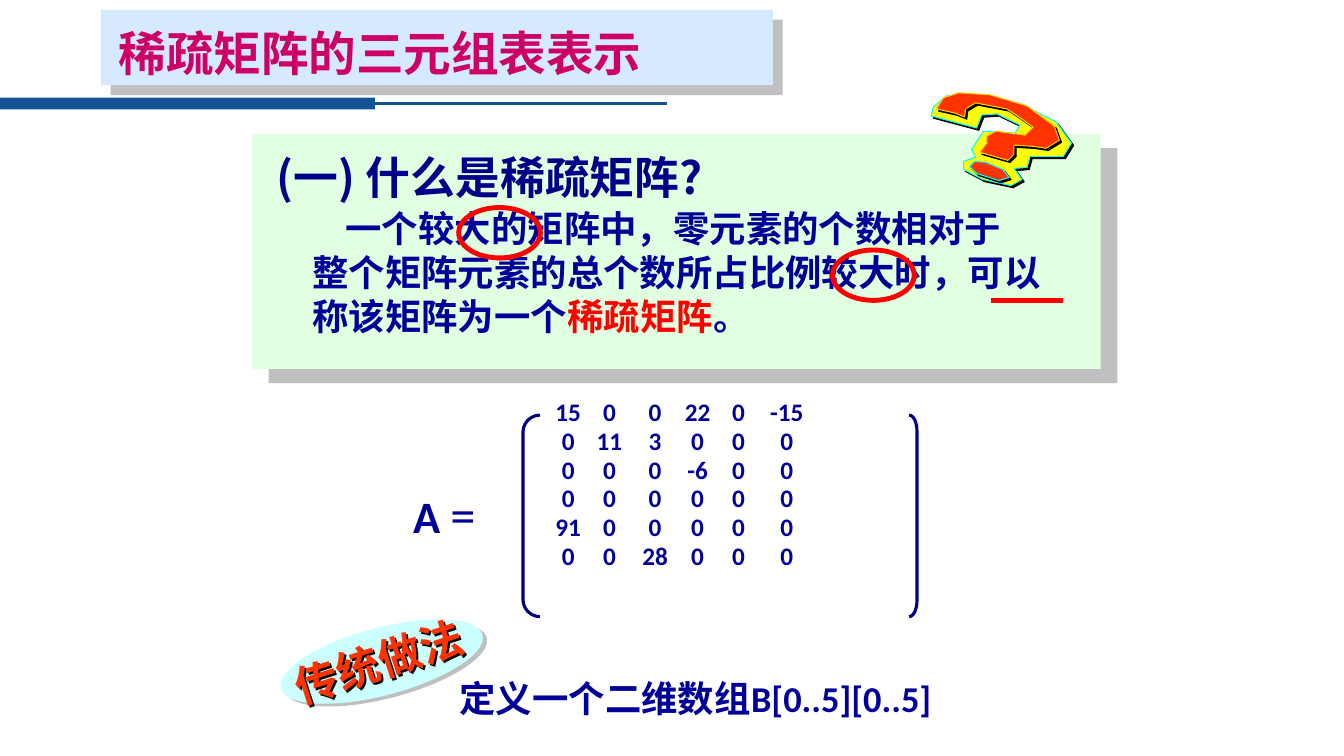
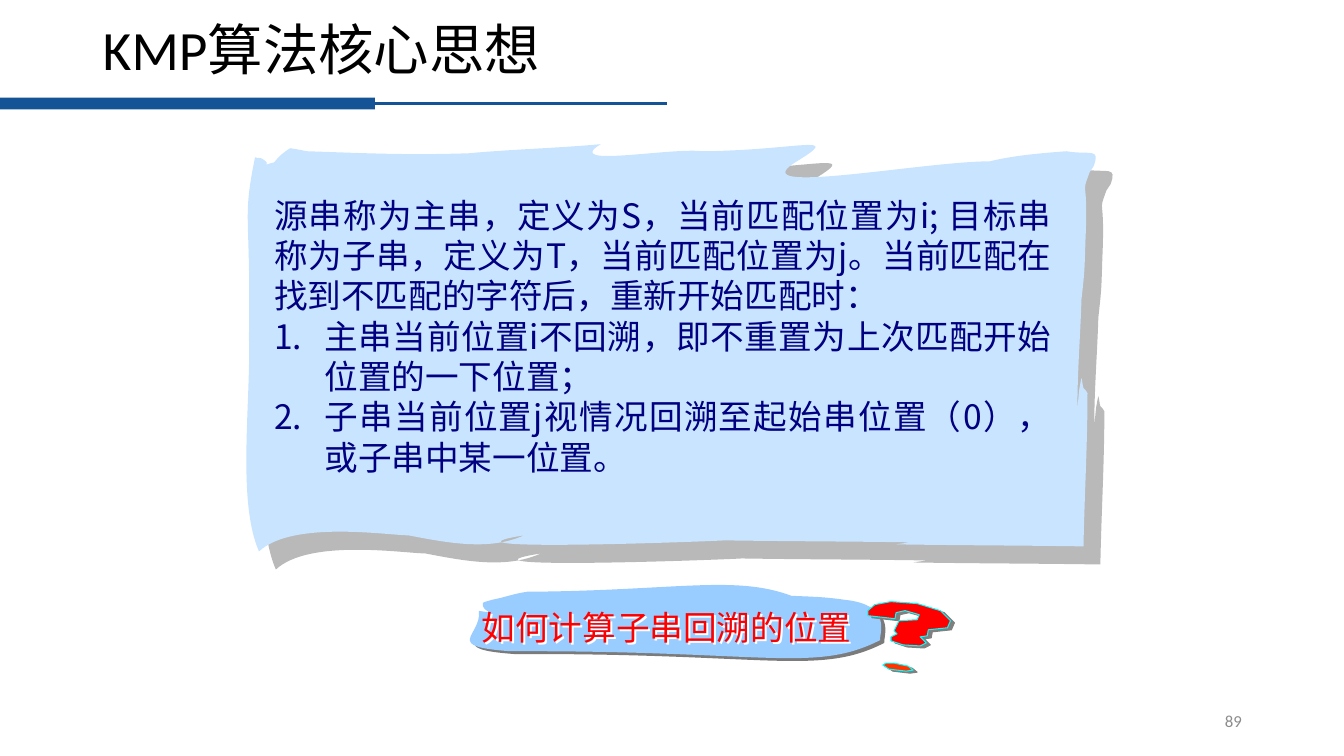
from lxml import etree
from pptx import Presentation
from pptx.dml.color import RGBColor
from pptx.enum.shapes import MSO_CONNECTOR, MSO_SHAPE
from pptx.enum.text import MSO_ANCHOR, PP_ALIGN
from pptx.oxml.ns import qn
from pptx.util import Cm, Pt

RECT, OVAL = MSO_SHAPE.RECTANGLE, MSO_SHAPE.OVAL
LEFT_BRACKET, RIGHT_BRACKET = MSO_SHAPE.LEFT_BRACKET, MSO_SHAPE.RIGHT_BRACKET
STRAIGHT = MSO_CONNECTOR.STRAIGHT
MIDDLE = MSO_ANCHOR.MIDDLE
JUSTIFY, RIGHT = PP_ALIGN.JUSTIFY, PP_ALIGN.RIGHT

LATIN, CJK = "Calibri", "Noto Sans CJK SC"
BAND = RGBColor(0x14, 0x53, 0x96)
NAVY = RGBColor(0x00, 0x00, 0x80)
HEADING = RGBColor(0x00, 0x00, 0x88)
INK = RGBColor(0x00, 0x00, 0x99)
RED = RGBColor(0xFF, 0x00, 0x00)
ORANGE = RGBColor(0xFF, 0x33, 0x00)
YELLOW = RGBColor(0xFF, 0xFF, 0x00)
GOLD = RGBColor(0xFF, 0xCC, 0x00)
CYAN = RGBColor(0x00, 0xFF, 0xFF)
PALE_CYAN = RGBColor(0xCC, 0xFF, 0xFF)
MAGENTA = RGBColor(0xCC, 0x00, 0x66)
PALE_BLUE = RGBColor(0xD5, 0xEA, 0xFF)
PAPER_BLUE = RGBColor(0xC9, 0xE4, 0xFF)
SKY = RGBColor(0x99, 0xCC, 0xFF)
MINT = RGBColor(0xE1, 0xFF, 0xE1)
BLACK = RGBColor(0x00, 0x00, 0x00)
WHITE = RGBColor(0xFF, 0xFF, 0xFF)
SILVER = RGBColor(0xC0, 0xC0, 0xC0)
PAPER_GRAY = RGBColor(0xB9, 0xB9, 0xB9)
STROKE_GRAY = RGBColor(0x7B, 0x7B, 0x7B)
MID_GRAY = RGBColor(0x80, 0x80, 0x80)
NUMBER_GRAY = RGBColor(0x8C, 0x8C, 0x8C)

LEADING = 1.2
OUTLINE_UNIT = Cm(0.0254)

MATRIX = [
    [15, 0, 0, 22, 0, -15],
    [0, 11, 3, 0, 0, 0],
    [0, 0, 0, -6, 0, 0],
    [0, 0, 0, 0, 0, 0],
    [91, 0, 0, 0, 0, 0],
    [0, 0, 28, 0, 0, 0],
]
MATRIX_STOPS = (0.46, 1.5, 2.65, 3.72, 4.75, 5.97)

BIG_MARK_BACK = [
    (974, 114), (989, 113), (1012, 124), (1007, 132), (976, 130), (964, 148),
    (968, 156), (956, 160), (956, 168), (975, 178), (1003, 184), (1014, 178),
    (1006, 167), (1019, 166), (1022, 155), (1055, 155), (1063, 142),
    (1048, 121), (1011, 102), (967, 94), (939, 95), (926, 106), (924, 115),
    (969, 127)]
BIG_MARK_HOOK = [
    (929, 108), (947, 112), (957, 116), (958, 108), (968, 102), (999, 108),
    (1011, 116), (1025, 126), (1017, 134), (988, 130), (979, 135), (979, 142),
    (972, 151), (1000, 159), (1006, 153), (1006, 144), (1024, 145),
    (1038, 147), (1051, 139), (1046, 125), (1019, 105), (982, 94), (951, 92),
    (936, 97)]
BIG_MARK_DOT = [
    (978, 161), (967, 160), (962, 165), (969, 172), (991, 179), (1001, 176),
    (995, 168)]
SMALL_MARK_HOOK = [
    (889, 608), (898, 606), (912, 610), (910, 615), (892, 616), (887, 626),
    (890, 629), (884, 632), (884, 636), (896, 640), (913, 641), (919, 638),
    (913, 632), (920, 631), (921, 625), (940, 623), (943, 616), (933, 606),
    (910, 599), (884, 597), (868, 600), (861, 606), (861, 611), (888, 614)]
SMALL_MARK_DOT = [
    (887, 658), (879, 658), (876, 660), (882, 664), (899, 666), (906, 665),
    (901, 661)]
TORN_PAPER = [
    (305, 150), (364, 152, 404, 154, 465, 152), (509, 148, 552, 147, 596, 143),
    (557, 167, 666, 146, 697, 150), (794, 149, 838, 131, 789, 161),
    (735, 195, 917, 160, 982, 160), (1007, 154, 1032, 152, 1058, 150),
    (1082, 154, 1092, 146, 1085, 165), (1084, 167, 1082, 169, 1081, 171),
    (1072, 196, 1080, 172, 1077, 238), (1076, 271, 1076, 270, 1073, 297),
    (1072, 332, 1069, 368, 1069, 403), (1069, 409, 1070, 391, 1071, 385),
    (1072, 381, 1072, 378, 1073, 375), (1074, 378, 1074, 382, 1075, 385),
    (1076, 387, 1079, 388, 1079, 390), (1079, 441, 1076, 491, 1075, 542),
    (1013, 541, 952, 541, 890, 540), (886, 540, 906, 538, 902, 538),
    (841, 537, 780, 537, 719, 536), (706, 537, 414, 548, 520, 531),
    (485, 547, 442, 538, 405, 531), (385, 531, 290, 516, 257, 547),
    (235, 497, 249, 399, 247, 335), (249, 206, 240, 221, 253, 156),
    (255, 157, 259, 156, 261, 158), (271, 164, 256, 165, 272, 161),
    (277, 155, 281, 151, 288, 147), (295, 148, 299, 149, 305, 150)]
BRUSH_STROKE = [
    (475, 606), (478, 631, 438, 641, 506, 646), (760, 645, 808, 668, 873, 635),
    (872, 629, 886, 600, 838, 595), (817, 592, 807, 592, 785, 591),
    (729, 570, 670, 586, 523, 587), (509, 589, 503, 592, 488, 595),
    (485, 596, 480, 597, 479, 598), (476, 607, 497, 609, 475, 606)]


def add_shadow(shape, color, dist, angle):
    """Give a shape a hard offset shadow."""
    shape.shadow.inherit = False
    effects = shape._element.spPr.find(qn("a:effectLst"))
    outer = etree.SubElement(effects, qn("a:outerShdw"), dist=str(Pt(dist)),
                             dir=str(angle * 60000), rotWithShape="0")
    etree.SubElement(outer, qn("a:srgbClr"), val=str(color))


def style(shape, fill=None, line=None, width=0.75, shadow=None):
    """Set the fill, outline and shadow of a shape."""
    if fill is None:
        shape.fill.background()
    else:
        shape.fill.solid()
        shape.fill.fore_color.rgb = fill
    if line is None:
        shape.line.fill.background()
    else:
        shape.line.color.rgb = line
        shape.line.width = Pt(width)
    shape.shadow.inherit = False
    if shadow:
        add_shadow(shape, *shadow)


def preset(s, kind, x, y, w, h, **look):
    """Add a styled preset shape."""
    shape = s.shapes.add_shape(kind, Cm(x), Cm(y), Cm(w), Cm(h))
    style(shape, **look)
    return shape


def rule(s, x, y, length, color, width):
    """Add a horizontal line."""
    line = s.shapes.add_connector(STRAIGHT, Cm(x), Cm(y), Cm(x + length), Cm(y))
    line.line.color.rgb = color
    line.line.width = Pt(width)
    etree.SubElement(line._element.spPr, qn("a:effectLst"))


def bend_curves(shape, path):
    """Join the three points of each curve segment into one Bezier."""
    steps = iter(list(shape._element.iter(qn("a:lnTo"))))
    for segment in path[1:]:
        first = next(steps)
        if len(segment) == 6:
            first.tag
            curve = etree.Element(qn("a:cubicBezTo"))
            first.addprevious(curve)
            for step in (first, next(steps), next(steps)):
                curve.append(step[0])
                step.getparent().remove(step)


def outlines(s, x, y, parts, shadow):
    """Draw (path, fill, line) parts with their joint corner at x, y."""
    segments = [segment for path, _, _ in parts for segment in path]
    left = min(v for segment in segments for v in segment[::2])
    top = min(v for segment in segments for v in segment[1::2])
    for path, fill, line in parts:
        points = [(Cm(x) + (px - left) * OUTLINE_UNIT,
                   Cm(y) + (py - top) * OUTLINE_UNIT)
                  for segment in path
                  for px, py in zip(segment[::2], segment[1::2])]
        builder = s.shapes.build_freeform(*points[0], scale=1.0)
        builder.add_line_segments(points[1:], close=True)
        shape = builder.convert_to_shape()
        bend_curves(shape, path)
        style(shape, fill, line, shadow=shadow)


def text(s, x, y, w, h, lines, size, color, bold=False, font=LATIN,
         leading=LEADING, align=None, anchor=None):
    """Add a text box; a line is a string or a list of run strings."""
    box = s.shapes.add_textbox(Cm(x), Cm(y), Cm(w), Cm(h))
    tf = box.text_frame
    tf.word_wrap = True
    if anchor is not None:
        tf.vertical_anchor = anchor
    for i, line in enumerate(lines):
        p = tf.paragraphs[0] if i == 0 else tf.add_paragraph()
        if isinstance(line, str):
            p.text = line
        else:
            for part in line:
                p.add_run().text = part
        p.line_spacing = Pt(round(size * leading, 1))
        if align is not None:
            p.alignment = align
        for r in p.runs:
            r.font.size, r.font.bold, r.font.name = Pt(size), bold, font
            r.font.color.rgb = color
            etree.SubElement(r._r.get_or_add_rPr(), qn("a:ea"), typeface=CJK)
    return box


def add_slide(prs):
    """Add a blank slide with the shared header band."""
    s = prs.slides.add_slide(prs.slide_layouts[6])
    preset(s, RECT, 0, 2.46, 9.45, 0.3, fill=BAND)
    rule(s, 9.35, 2.6, 7.46, BAND, 2.25)
    return s


def title_panel(s, x, y):
    """Place the title on its shadowed panel."""
    preset(s, RECT, x, y, 16.94, 1.9, fill=PALE_BLUE, shadow=(SILVER, 9.9, 45))
    text(s, x + 0.2, y + 0.23, 16.64, 1.7, ["稀疏矩阵的三元组表表示"], 34,
         MAGENTA, bold=True)


def definition(s, x, y):
    """Place the definition panel and its red highlights."""
    preset(s, RECT, x, y, 21.39, 5.92, fill=MINT, shadow=(SILVER, 15.6, 40))
    text(s, x + 0.38, y + 0.28, 13, 1.63, ["(一) 什么是稀疏矩阵?"], 32, HEADING,
         bold=True, font=CJK)
    body = text(s, x + 1.27, y + 1.68, 21.16, 3.58,
                ["一个较大的矩阵中，零元素的个数相对于",
                 "整个矩阵元素的总个数所占比例较大时，可以",
                 ["称该矩阵为一个", "稀疏矩阵", "。"]],
                26, INK, bold=True, font=CJK, leading=1.21)
    first, _, last = body.text_frame.paragraphs
    first._p.get_or_add_pPr().set("indent", str(Cm(0.84)))
    last.runs[1].font.color.rgb = RED
    for dx, dy in ((5.21, 1.85), (14.63, 2.92)):
        preset(s, OVAL, x + dx, y + dy, 2.06, 1.27, line=RED, width=3.5)
    rule(s, x + 18.62, y + 4.19, 1.82, RED, 4)


def matrix(s, x, y):
    """Place the bracketed matrix and its label."""
    label = text(s, x, y + 2.1, 2.9, 1.8, [["A ", "="]], 36, INK)
    name = label.text_frame.paragraphs[0].runs[0]
    name.font.size, name.font.bold = Pt(32), True
    rows = ["".join(f"\t{value}" for value in row) for row in MATRIX]
    box = text(s, x + 3.45, y - 0.05, 9.53, 4.65, rows, 18, INK, bold=True,
               leading=1.14)
    for p in box.text_frame.paragraphs:
        tabs = etree.SubElement(p._p.get_or_add_pPr(), qn("a:tabLst"))
        for stop in MATRIX_STOPS:
            etree.SubElement(tabs, qn("a:tab"), algn="ctr", pos=str(Cm(stop)))
    for kind, dx, w, bend in ((LEFT_BRACKET, 3.02, 0.43, 1),
                              (RIGHT_BRACKET, 12.75, 0.2, 1.99)):
        bracket = preset(s, kind, x + dx, y + 0.5, w, 5.08, line=NAVY,
                         width=2.25)
        bracket.adjustments[0] = bend


def method(s, x, y):
    """Place the tilted badge and the array declaration."""
    text(s, x + 4.34, y + 1.2, 14.81, 1.37, ["定义一个二维数组B[0..5][0..5]"], 26,
         INK, bold=True)
    badge = preset(s, OVAL, x, y + 0.1, 5.26, 1.7, fill=PALE_CYAN,
                   shadow=(SILVER, 3.6, 34))
    badge.rotation = -14.8
    label = text(s, x + 0.1, y, 5.89, 1.57, ["传统做法"], 31, ORANGE, bold=True)
    label.rotation = -17.9
    add_shadow(label, BLACK, 2, 45)


def idea(s, x, y):
    """Place the torn paper with the numbered explanation."""
    outlines(s, x, y, [(TORN_PAPER, PAPER_BLUE, None)], (PAPER_GRAY, 17.7, 47))
    box = text(s, x + 0.69, y + 1.45, 20.09, 7.44,
               ["源串称为主串，定义为S，当前匹配位置为i; 目标串称为子串，定义为T，"
                "当前匹配位置为j。当前匹配在找到不匹配的字符后，重新开始匹配时：",
                "主串当前位置i不回溯，即不重置为上次匹配开始位置的一下位置；",
                "子串当前位置j视情况回溯至起始串位置（0），或子串中某一位置。"],
               24, NAVY, font=CJK, align=JUSTIFY)
    for p in box.text_frame.paragraphs[1:]:
        pPr = p._p.get_or_add_pPr()
        pPr.set("marL", str(Cm(1.27)))
        pPr.set("indent", str(-Cm(1.27)))
        etree.SubElement(pPr, qn("a:buAutoNum"), type="arabicPeriod")


def question(s, x, y):
    """Place the closing question on a brush stroke with its mark."""
    outlines(s, x, y, [(BRUSH_STROKE, SKY, None)], (STROKE_GRAY, 3.6, 34))
    box = text(s, x + 0.76, y + 0.42, 12.14, 1.8, ["如何计算子串回溯的位置"], 24,
               RED, anchor=MIDDLE)
    add_shadow(box, WHITE, 2, 45)
    outlines(s, x + 10.74, y + 0.68,
             [(SMALL_MARK_HOOK, RED, CYAN), (SMALL_MARK_DOT, ORANGE, CYAN)],
             (MID_GRAY, 3.2, 27))


def sparse_matrix_slide(prs):
    """Build the sparse matrix slide."""
    s = add_slide(prs)
    definition(s, 6.35, 3.38)
    matrix(s, 10.16, 9.96)
    outlines(s, 23.47, 2.34,
             [(BIG_MARK_BACK, YELLOW, CYAN), (BIG_MARK_HOOK, ORANGE, GOLD),
              (BIG_MARK_DOT, ORANGE, CYAN)], (BLACK, 2.2, 45))
    title_panel(s, 2.54, 0.25)
    method(s, 6.99, 15.72)


def kmp_slide(prs):
    """Build the KMP slide."""
    s = add_slide(prs)
    text(s, 2.34, 0.43, 29.21, 1.75, ["KMP算法核心思想"], 39.6, BLACK,
         leading=1.08, anchor=MIDDLE)
    text(s, 23.93, 17.65, 7.62, 1.02, ["89"], 12, NUMBER_GRAY, align=RIGHT,
         anchor=MIDDLE)
    idea(s, 5.97, 3.33)
    question(s, 11.13, 14.48)


def main():
    """Build and save the presentation."""
    prs = Presentation()
    prs.slide_width, prs.slide_height = Cm(33.87), Cm(19.05)
    sparse_matrix_slide(prs)
    kmp_slide(prs)
    prs.save("out.pptx")


if __name__ == "__main__":
    main()
